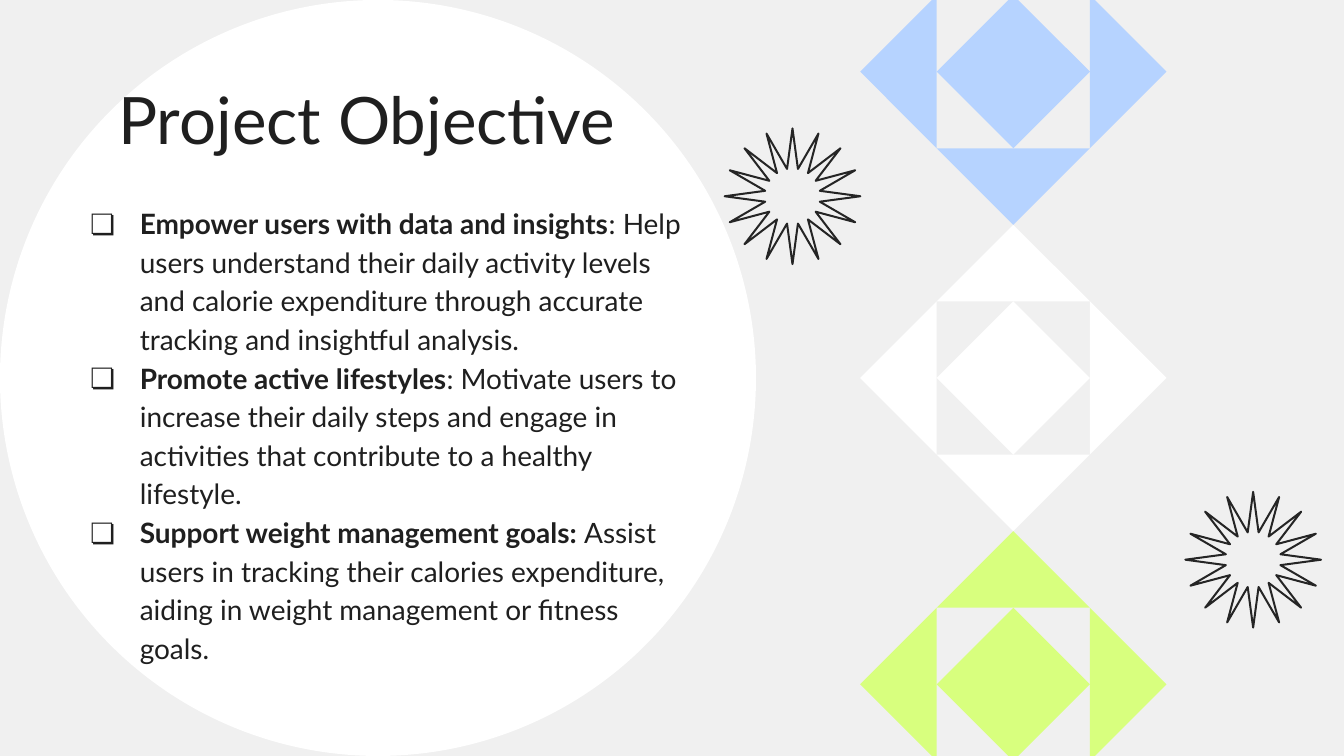
from math import cos, pi, sin

from lxml.etree import SubElement
from pptx import Presentation
from pptx.dml.color import RGBColor
from pptx.enum.shapes import MSO_SHAPE
from pptx.enum.text import MSO_ANCHOR, MSO_AUTO_SIZE, PP_ALIGN
from pptx.oxml.ns import qn
from pptx.util import Pt

FONT = "Lato"
INK = "1F1F1F"
OBJECTIVES = [
    ("Empower users with data and insights",
     ": Help users understand their daily activity levels and calorie expenditure "
     "through accurate tracking and insightful analysis."),
    ("Promote active lifestyles",
     ": Motivate users to increase their daily steps and engage in activities that "
     "contribute to a healthy lifestyle."),
    ("Support weight management goals: ",
     "Assist users in tracking their calories expenditure, aiding in weight "
     "management or fitness goals."),
]


def color(hex_string):
    return RGBColor.from_string(hex_string)


def add_run(paragraph, text, size, bold=False):
    run = paragraph.add_run()
    run.text = text
    run.font.name = FONT
    run.font.size = Pt(size)
    run.font.bold = bold
    run.font.color.rgb = color(INK)


def add_bullet(paragraph, character):
    properties = paragraph._p.get_or_add_pPr()
    properties.set("marL", str(Pt(36)))
    properties.set("indent", str(Pt(-26.64)))
    bullet_color = SubElement(properties, qn("a:buClr"))
    SubElement(bullet_color, qn("a:srgbClr")).set("val", INK)
    SubElement(properties, qn("a:buFont")).set("typeface", FONT)
    SubElement(properties, qn("a:buChar")).set("char", character)


def add_polygon(shapes, points):
    corners = [(Pt(x), Pt(y)) for x, y in points]
    builder = shapes.build_freeform(*corners[0])
    builder.add_line_segments(corners[1:], close=True)
    shape = builder.convert_to_shape()
    shape.shadow.inherit = False
    return shape


def place_text(slide, placeholder, left, top, width, height, anchor):
    """Put a placeholder in its box, in front of what is already drawn."""
    slide.shapes._spTree.append(placeholder._element)
    placeholder.left, placeholder.top = Pt(left), Pt(top)
    placeholder.width, placeholder.height = Pt(width), Pt(height)
    frame = placeholder.text_frame
    frame.word_wrap = True
    frame.auto_size = MSO_AUTO_SIZE.NONE
    frame.vertical_anchor = anchor
    frame.margin_left = frame.margin_right = Pt(7.2)
    frame.margin_top = frame.margin_bottom = Pt(7.2)
    return frame


def add_circle(slide, left, top, size):
    circle = slide.shapes.add_shape(
        MSO_SHAPE.OVAL, Pt(left), Pt(top), Pt(size), Pt(size))
    circle.shadow.inherit = False
    circle.fill.solid()
    circle.fill.fore_color.rgb = color("FFFFFF")
    circle.line.fill.background()


def add_title(slide, left, top, width, height):
    frame = place_text(slide, slide.shapes.title, left, top, width, height,
                       MSO_ANCHOR.BOTTOM)
    paragraph = frame.paragraphs[0]
    paragraph.alignment = PP_ALIGN.LEFT
    add_run(paragraph, "Project Objective", 35)


def add_objectives(slide, left, top, width, height):
    frame = place_text(slide, slide.placeholders[1], left, top, width, height,
                       MSO_ANCHOR.TOP)
    for index, (goal, detail) in enumerate(OBJECTIVES):
        paragraph = frame.add_paragraph() if index else frame.paragraphs[0]
        paragraph.alignment = PP_ALIGN.LEFT
        paragraph.line_spacing = 1.15
        paragraph.space_before = Pt(0 if index else 10)
        paragraph.space_after = Pt(0)
        add_bullet(paragraph, "❏")
        add_run(paragraph, goal, 15, bold=True)
        add_run(paragraph, detail, 15)


def add_starburst(slide, left, top, size, tips=16):
    radius = size / 2
    points = []
    for step in range(2 * tips):
        reach = radius * (0.41 if step % 2 else 1)
        angle = step * pi / tips
        points.append((left + radius + reach * cos(angle),
                       top + radius + reach * sin(angle)))
    star = add_polygon(slide.shapes, points)
    star.fill.background()
    star.line.color.rgb = color("252525")
    star.line.width = Pt(1.07)


def add_quilt_block(slide, left, top, size, fill, omit=None):
    """Draw a diamond inside four triangles; omit names a triangle to skip."""
    # Corners in quarters of the block
    pieces = {
        "center": [(2, 1), (1, 2), (2, 3), (3, 2)],
        "top": [(2, 0), (1, 1), (3, 1)],
        "bottom": [(1, 3), (2, 4), (3, 3)],
        "right": [(3, 1), (3, 3), (4, 2)],
        "left": [(1, 1), (0, 2), (1, 3)],
    }
    quarter = size / 4
    group = slide.shapes.add_group_shape()
    for name, corners in pieces.items():
        if name == omit:
            continue
        piece = add_polygon(group.shapes, [
            (left + x * quarter, top + y * quarter) for x, y in corners])
        piece.fill.solid()
        piece.fill.fore_color.rgb = color(fill)
        piece.line.fill.background()


def add_quilt_column(slide, left, middle, size):
    blocks = [("B6D3FF", "top"), ("FFFFFF", None), ("D8FF7E", "bottom")]
    for index, (fill, omit) in enumerate(blocks):
        top = middle + (index - 1.5) * size
        add_quilt_block(slide, left, top, size, fill, omit)


def main():
    presentation = Presentation()
    presentation.slide_width, presentation.slide_height = Pt(720), Pt(405)
    slide = presentation.slides.add_slide(presentation.slide_layouts[1])
    slide.background.fill.solid()
    slide.background.fill.fore_color.rgb = color("F0F0F0")

    # Backdrop
    add_starburst(slide, 635, 263.5, 72.7)
    add_circle(slide, 0, 0, 405)

    # Text
    add_title(slide, 56.2, 31, 320.4, 60.5)
    add_objectives(slide, 31.7, 100.8, 341.3, 283)

    # Ornaments on the right
    add_quilt_column(slide, 460.8, 202.5, 164.1)
    add_starburst(slide, 388.2, 68.8, 72.7)

    presentation.save("out.pptx")


if __name__ == "__main__":
    main()
